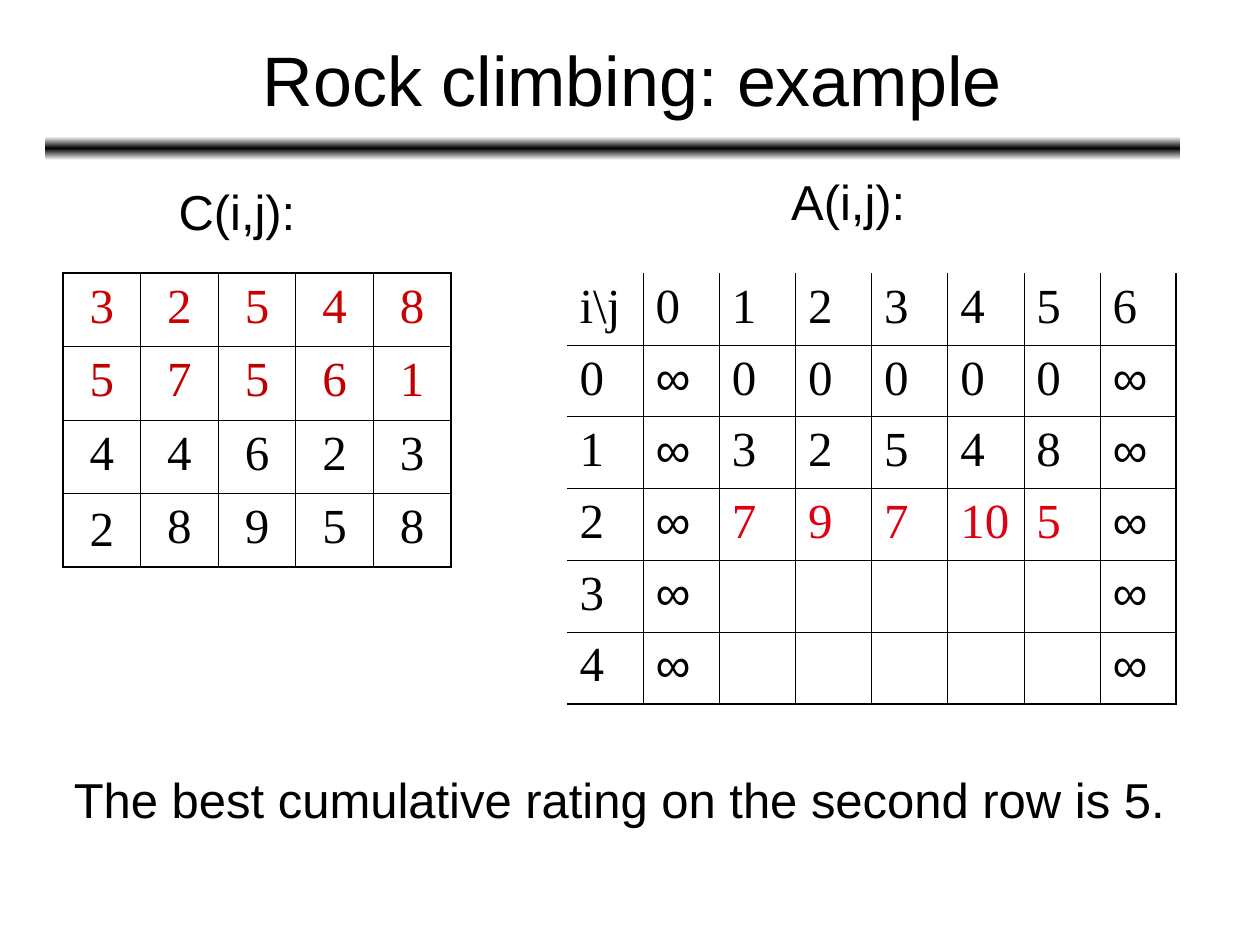
"""Build the rock climbing example slide with its rating and cumulative tables."""
import copy

import pptx
import pptx.dml.color
import pptx.enum.shapes
import pptx.enum.text
import pptx.oxml
import pptx.oxml.ns
import pptx.util
from pptx.util import Cm

BLACK = pptx.dml.color.RGBColor(0x00, 0x00, 0x00)
WHITE = pptx.dml.color.RGBColor(0xFF, 0xFF, 0xFF)
RED = pptx.dml.color.RGBColor(0xCC, 0x00, 0x00)
DARK_RED = pptx.dml.color.RGBColor(0xC0, 0x00, 0x00)
BRIGHT_RED = pptx.dml.color.RGBColor(0xDD, 0x01, 0x11)
THIN, THICK = 0.45, 1.08
CENTER = pptx.enum.text.PP_ALIGN.CENTER
LEFT = pptx.enum.text.PP_ALIGN.LEFT
MIDDLE = pptx.enum.text.MSO_ANCHOR.MIDDLE


def style_paragraph(paragraph, text, font_name, size, color, alignment):
    paragraph.text = text
    paragraph.alignment = alignment
    paragraph.font.name = font_name
    paragraph.font.size = pptx.util.Pt(size)
    paragraph.font.color.rgb = color


def add_grid(left, top, width, height, rows, colors, alignment, outer):
    row_count, column_count = len(rows), len(rows[0])
    table = slide.shapes.add_table(
        row_count, column_count, left, top, width, height).table
    table.first_row = table.horz_banding = False
    for row, values in enumerate(rows):
        for column, value in enumerate(values):
            cell = table.cell(row, column)
            paragraph = cell.text_frame.paragraphs[0]
            font_name = "Arial" if value == "∞" else "Times New Roman"
            color = colors.get((row, column), BLACK)
            style_paragraph(paragraph, value, font_name, 28, color, alignment)
            paragraph.space_before = pptx.util.Pt(7)
            on_edge = {"L": column == 0, "R": column == column_count - 1,
                       "T": row == 0, "B": row == row_count - 1}
            properties = cell._tc.get_or_add_tcPr()
            for side, is_edge in on_edge.items():
                weight = outer[side] if is_edge else THIN
                paint = (f'<a:solidFill><a:srgbClr val="{BLACK}"/></a:solidFill>'
                         if weight else "<a:noFill/>")
                properties.append(pptx.oxml.parse_xml(
                    f'<a:ln{side} {pptx.oxml.ns.nsdecls("a")} '
                    f'w="{int(pptx.util.Pt(weight))}">{paint}</a:ln{side}>'))
            cell.fill.background()
    return table


presentation = pptx.Presentation()
presentation.slide_width = Cm(25.4)
presentation.slide_height = Cm(19.05)
slide = presentation.slides.add_slide(presentation.slide_layouts[6])

divider = slide.shapes.add_shape(
    pptx.enum.shapes.MSO_SHAPE.ROUNDED_RECTANGLE,
    Cm(0.91), Cm(2.75), Cm(22.89), Cm(0.48))
divider.shadow.inherit = False
divider.line.fill.background()
divider.fill.gradient()
divider.fill.gradient_angle = 90
stop_list = divider._element.find(".//" + pptx.oxml.ns.qn("a:gsLst"))
stop_list.append(copy.deepcopy(stop_list[0]))
for stop, position, color in zip(
        divider.fill.gradient_stops, (0, 0.5, 1), (WHITE, BLACK, WHITE)):
    stop.position = position
    stop.color.rgb = color

title = slide.shapes.add_textbox(Cm(1.95), Cm(0), Cm(21.59), Cm(3.18))
title.text_frame.word_wrap = True
title.text_frame.vertical_anchor = MIDDLE
style_paragraph(title.text_frame.paragraphs[0], "Rock climbing: example",
                "Arial", 40, BLACK, CENTER)

rating_colors = {(row, column): color for row, color in enumerate((RED, DARK_RED))
                 for column in range(5)}
ratings = add_grid(
    Cm(1.27), Cm(5.51), Cm(7.82), Cm(5.92),
    [list("32548"), list("57561"), list("44623"), list("28958")],
    rating_colors, CENTER, {"L": THICK, "R": THICK, "T": THICK, "B": THICK})
ratings.cell(3, 0).vertical_anchor = MIDDLE

captions = [
    ("C(i,j):", 3.35, 3.66, 3),
    ("A(i,j):", 15.7, 3.46, 3),
    ("The best cumulative rating on the second row is 5.", 1.24, 15.52, 22.8),
]
for text, left, top, width in captions:
    caption = slide.shapes.add_textbox(Cm(left), Cm(top), Cm(width), Cm(1.32))
    caption.text_frame.word_wrap = False
    paragraph = caption.text_frame.paragraphs[0]
    style_paragraph(paragraph, text, "Arial", 28, BLACK, LEFT)
    paragraph.line_spacing = 0.9

cumulative_rows = [["i\\j", *"0123456"]]
for index, values in enumerate(
        [["0"] * 5, list("32548"), ["7", "9", "7", "10", "5"], [""] * 5, [""] * 5]):
    cumulative_rows.append([str(index), "∞", *values, "∞"])
add_grid(Cm(11.43), Cm(5.51), Cm(12.28), Cm(8.68), cumulative_rows,
         {(3, column): BRIGHT_RED for column in range(2, 7)}, LEFT,
         {"L": 0, "R": THICK, "T": 0, "B": THICK})

presentation.save("out.pptx")
